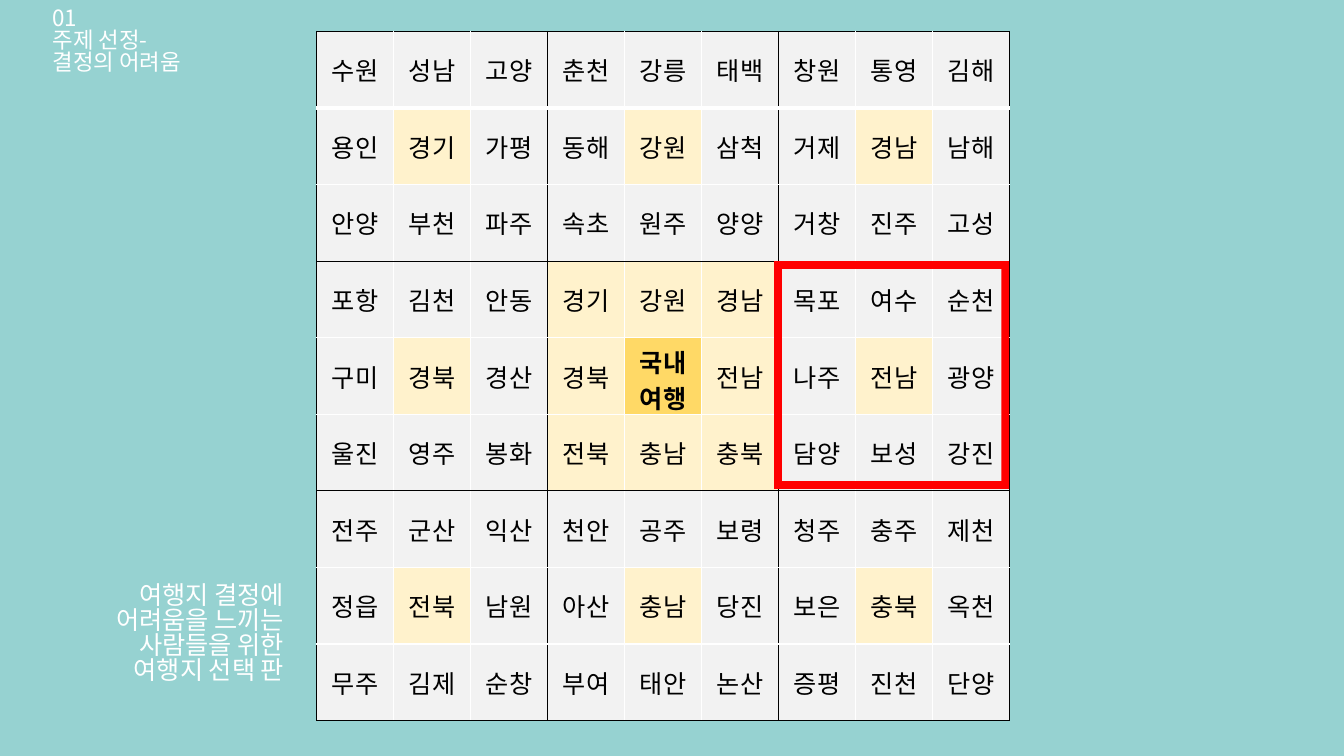
from lxml.etree import SubElement
from pptx import Presentation
from pptx.dml.color import RGBColor
from pptx.enum.shapes import MSO_SHAPE
from pptx.enum.text import MSO_ANCHOR, MSO_AUTO_SIZE, PP_ALIGN
from pptx.oxml.ns import qn
from pptx.util import Cm, Pt

FONT = "Noto Sans CJK KR"
CITIES = """
수원 성남 고양 춘천 강릉 태백 창원 통영 김해
용인 경기 가평 동해 강원 삼척 거제 경남 남해
안양 부천 파주 속초 원주 양양 거창 진주 고성
포항 김천 안동 경기 강원 경남 목포 여수 순천
구미 경북 경산 경북 국내여행 전남 나주 전남 광양
울진 영주 봉화 전북 충남 충북 담양 보성 강진
전주 군산 익산 천안 공주 보령 청주 충주 제천
정읍 전북 남원 아산 충남 당진 보은 충북 옥천
무주 김제 순창 부여 태안 논산 증평 진천 단양
"""


def color(value):
    return RGBColor.from_string(value)


def write(text_frame, text, size=18, font_color="FFFFFF", bold=False,
          align=PP_ALIGN.LEFT, line_spacing=1.0):
    text_frame.word_wrap = True
    text_frame.text = text
    for paragraph in text_frame.paragraphs:
        paragraph.alignment = align
        paragraph.line_spacing = line_spacing
        paragraph.space_before = Pt(0)
        for run in paragraph.runs:
            run.font.size = Pt(size)
            run.font.bold = bold
            run.font.name = FONT
            run.font.color.rgb = color(font_color)
            SubElement(run.font._element, qn("a:ea"), typeface=FONT)


presentation = Presentation()
presentation.slide_width = Cm(33.87)
presentation.slide_height = Cm(19.05)
slide = presentation.slides.add_slide(presentation.slide_layouts[5])
slide.background.fill.solid()
slide.background.fill.fore_color.rgb = color("96D2D1")

cities = [line.split() for line in CITIES.split("\n") if line]
count = len(cities)
graphic_frame = slide.shapes.add_table(
    count, count, Cm(7.98), Cm(0.79), Cm(17.46), Cm(17.35))
table = graphic_frame.table
table.first_row = False
table.horz_banding = False
for column in table.columns:
    column.width = Cm(1.94)
for row in table.rows:
    row.height = Cm(1.93)

for row_index, names in enumerate(cities):
    for column_index, name in enumerate(names):
        cell = table.cell(row_index, column_index)
        is_center = row_index == column_index == count // 2
        in_middle_block = row_index // 3 == column_index // 3 == 1
        is_block_center = row_index % 3 == column_index % 3 == 1
        write(cell.text_frame, name, font_color="000000", bold=is_center,
              align=PP_ALIGN.CENTER)
        cell.vertical_anchor = MSO_ANCHOR.MIDDLE

        edges = {"L": column_index, "R": column_index + 1,
                 "T": row_index, "B": row_index + 1}
        for side, position in edges.items():
            under_first_row = side in "TB" and position == 1
            line = SubElement(cell._tc.get_or_add_tcPr(), qn(f"a:ln{side}"),
                              w=str(Pt(3 if under_first_row else 1)))
            line_fill = SubElement(line, qn("a:solidFill"))
            SubElement(line_fill, qn("a:srgbClr"),
                       val="FFFFFF" if position % 3 else "000000")

        if is_center:
            cell_color = "FFD966"
        elif in_middle_block or is_block_center:
            cell_color = "FFF2CC"
        else:
            cell_color = "F2F2F2"
        cell.fill.solid()
        cell.fill.fore_color.rgb = color(cell_color)

highlight = slide.shapes.add_shape(
    MSO_SHAPE.FRAME, Cm(19.51), Cm(6.58), Cm(5.92), Cm(5.74))
highlight.adjustments[0] = 0.034
highlight.shadow.inherit = False
highlight.fill.solid()
highlight.fill.fore_color.rgb = color("FF0000")
highlight.line.fill.background()

title = slide.shapes.title
title.left, title.top, title.width, title.height = Cm(1.07), Cm(0.08), Cm(4.42), Cm(2.31)
write(title.text_frame, "01\n주제 선정- 결정의 어려움", size=16, line_spacing=0.83)
title.text_frame.vertical_anchor = MSO_ANCHOR.TOP
title.text_frame.auto_size = MSO_AUTO_SIZE.SHAPE_TO_FIT_TEXT

caption = slide.shapes.add_textbox(Cm(1.14), Cm(14.6), Cm(6.27), Cm(3.33))
write(caption.text_frame, "여행지 결정에 어려움을 느끼는 사람들을 위한\n여행지 선택 판",
      align=PP_ALIGN.RIGHT, line_spacing=0.83)
caption.text_frame.auto_size = MSO_AUTO_SIZE.SHAPE_TO_FIT_TEXT

presentation.save("out.pptx")
